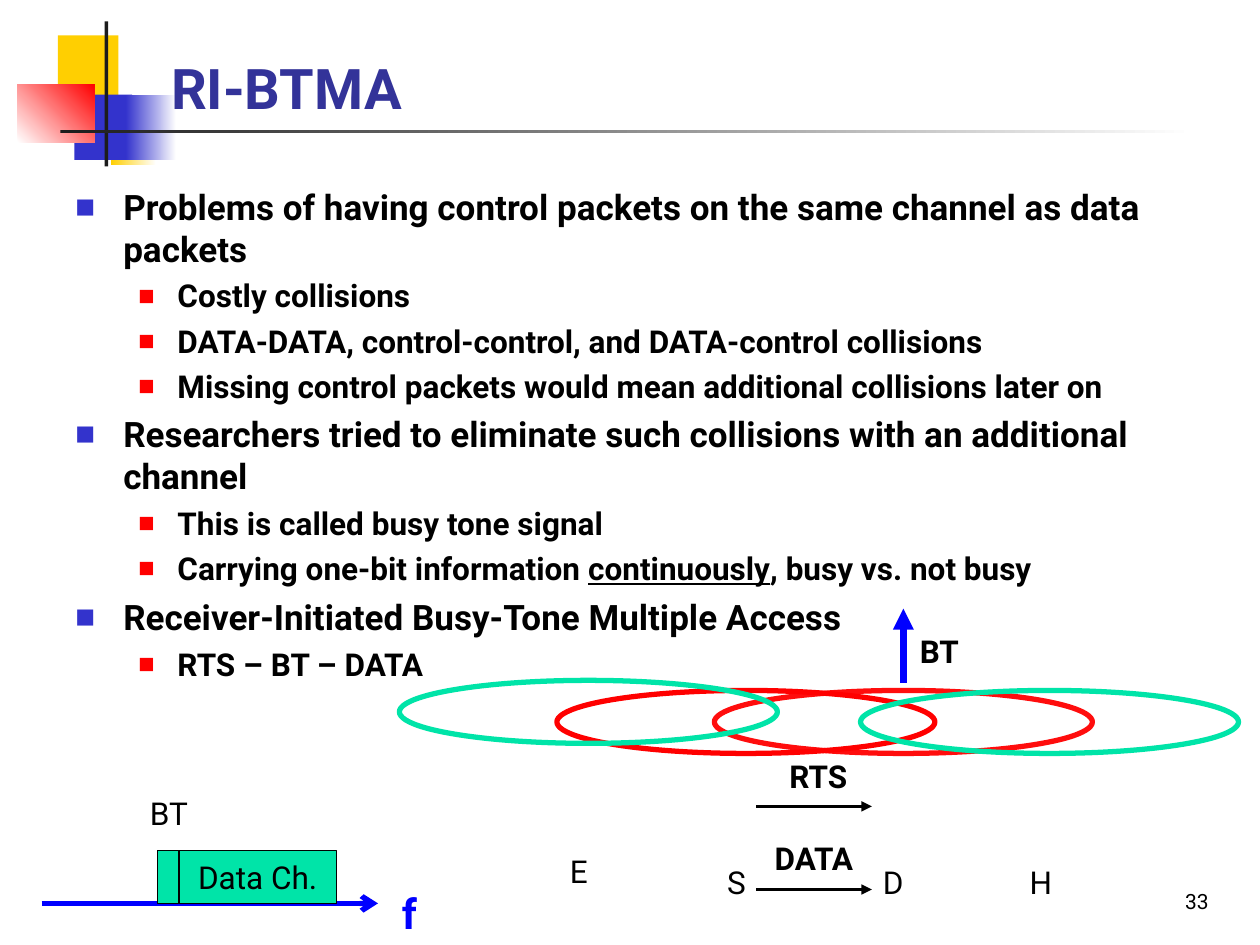
import pptx
import pptx.util
import pptx.dml.color
import pptx.enum.shapes
import pptx.enum.text
import pptx.oxml
import pptx.oxml.ns
import lxml.etree

Inches, Pt = pptx.util.Inches, pptx.util.Pt
SHAPE = pptx.enum.shapes.MSO_SHAPE
ALIGN = pptx.enum.text.PP_ALIGN
ANCHOR = pptx.enum.text.MSO_ANCHOR
qn = pptx.oxml.ns.qn
BLACK, BLUE, GREEN, RED = "000000", "0000FF", "00E4A8", "FF0000"


def rgb(value):
    return pptx.dml.color.RGBColor.from_string(value)


def add_text(paragraph, text, size, color=BLACK, bold=False):
    run = paragraph.add_run()
    run.text = text
    run.font.name = "Roboto"
    run.font.size = Pt(size)
    run.font.bold = bold
    run.font.color.rgb = rgb(color)
    return run


prs = pptx.Presentation()
prs.slide_width, prs.slide_height = Inches(10), Inches(7.5)
slide = prs.slides.add_slide(prs.slide_layouts[6])
shapes = slide.shapes

# Corner decoration: left, top, width, height, colours, gradient angle
decoration = [
    (0.46, 0.28, 0.48, 0.52, ["FFCF01"], 0),
    (0.88, 0.79, 0.36, 0.52, ["FFCF01", "FFFFFF"], 0),
    (0.59, 0.75, 0.46, 0.52, ["3333CC"], 0),
    (1, 0.75, 0.4, 0.52, ["3333CC", "FFFFFF"], 0),
    (0.14, 0.67, 0.61, 0.46, ["FFFFFF", RED], 45),
    (0.83, 0.17, 0.03, 1.15, ["1C1C1C"], 0),
    (0.48, 1.03, 9, 0.03, ["1C1C1C", "FFFFFF"], 0),
]
for left, top, width, height, colors, angle in decoration:
    block = shapes.add_shape(SHAPE.RECTANGLE, Inches(left), Inches(top), Inches(width), Inches(height))
    block.shadow.inherit = False
    block.line.fill.background()
    if len(colors) == 1:
        block.fill.solid()
        block.fill.fore_color.rgb = rgb(colors[0])
    else:
        block.fill.gradient()
        block.fill.gradient_angle = angle
        for stop, color, position in zip(block.fill.gradient_stops, colors, (0, 1)):
            stop.color.rgb = rgb(color)
            stop.position = position

# Bulleted body: level and runs, where the second run is underlined
points = [
    (0, ["Problems of having control packets on the same channel as data packets"]),
    (1, ["Costly collisions"]),
    (1, ["DATA-DATA, control-control, and DATA-control collisions"]),
    (1, ["Missing control packets would mean additional collisions later on"]),
    (0, ["Researchers tried to eliminate such collisions with an additional channel"]),
    (1, ["This is called busy tone signal"]),
    (1, ["Carrying one-bit information ", "continuously", ", busy vs. not busy"]),
    (0, ["Receiver-Initiated Busy-Tone Multiple Access"]),
    (1, ["RTS – BT – DATA"]),
]
# Per level: text size, space before, margin, indent, bullet colour, bullet percent
levels = [(20, 4.7, 0.38, -0.38, "3333CC", 60), (18, 4.2, 0.81, -0.31, RED, 55)]
body = shapes.add_textbox(Inches(0.5), Inches(1.42), Inches(9.08), Inches(5.67)).text_frame
body.word_wrap = True
for index, (level, texts) in enumerate(points):
    size, space, margin, indent, bullet_color, percent = levels[level]
    point = body.paragraphs[0] if index == 0 else body.add_paragraph()
    point.level = level
    if index:
        point.space_before = Pt(space)
    props = point._p.get_or_add_pPr()
    props.set("marL", str(Inches(margin)))
    props.set("indent", str(Inches(indent)))
    color_node = lxml.etree.SubElement(props, qn("a:buClr"))
    lxml.etree.SubElement(color_node, qn("a:srgbClr"), val=bullet_color)
    lxml.etree.SubElement(props, qn("a:buSzPct"), val=str(percent * 1000))
    lxml.etree.SubElement(props, qn("a:buFont"), typeface="Roboto")
    lxml.etree.SubElement(props, qn("a:buChar"), char="■")
    for position, text in enumerate(texts):
        run = add_text(point, text, size, bold=True)
        if position == 1:
            run.font.underline = True

# Title and slide number
title = shapes.add_textbox(Inches(1.26), Inches(0.18), Inches(8.52), Inches(0.83)).text_frame
title.word_wrap = True
title.vertical_anchor = ANCHOR.BOTTOM
add_text(title.paragraphs[0], "RI-BTMA", 32, "333399", True)

number = shapes.add_textbox(Inches(9), Inches(7), Inches(1), Inches(0.5)).text_frame
number.word_wrap = True
number.paragraphs[0].alignment = ALIGN.CENTER
add_text(number.paragraphs[0], "33", 12)

# Radio ranges of D, S, H and E
for left, top, color in [(5.67, 5.48, "FF0D0D"), (4.42, 5.48, RED), (6.83, 5.48, GREEN), (3.17, 5.4, GREEN)]:
    radio_range = shapes.add_shape(SHAPE.OVAL, Inches(left), Inches(top), Inches(3), Inches(0.5))
    radio_range.shadow.inherit = False
    radio_range.fill.background()
    radio_range.line.color.rgb = rgb(color)
    radio_range.line.width = Pt(3)

# Arrows: RTS, DATA, busy tone, frequency axis
arrows = [
    (6, 6.4, 6.92, 6.4, BLACK, 1.5, "triangle"),
    (6, 7.06, 6.92, 7.06, BLACK, 1.5, "triangle"),
    (7.17, 5.42, 7.17, 4.83, BLUE, 4, "triangle"),
    (0.33, 7.17, 3, 7.17, BLUE, 3, "arrow"),
]
for x1, y1, x2, y2, color, width, head in arrows:
    arrow = shapes.add_connector(
        pptx.enum.shapes.MSO_CONNECTOR.STRAIGHT, Inches(x1), Inches(y1), Inches(x2), Inches(y2))
    arrow.line.color.rgb = rgb(color)
    arrow.line.width = Pt(width)
    lxml.etree.SubElement(arrow.line._get_or_add_ln(), qn("a:tailEnd"), type=head)
    lxml.etree.SubElement(arrow._element.spPr, qn("a:effectLst"))

# Channel blocks on the frequency axis: data channel and busy tone
for left, width, text in [(1.42, 1.25, "Data Ch."), (1.25, 0.17, "")]:
    channel = shapes.add_shape(SHAPE.RECTANGLE, Inches(left), Inches(6.75), Inches(width), Inches(0.42))
    channel.shadow.inherit = False
    channel.fill.solid()
    channel.fill.fore_color.rgb = rgb(GREEN)
    channel.line.color.rgb = rgb(BLACK)
    channel.line.width = Pt(0.75)
    if text:
        channel.text_frame.word_wrap = False
        channel.text_frame.paragraphs[0].alignment = ALIGN.CENTER
        add_text(channel.text_frame.paragraphs[0], text, 18)

# Labels: text, left, top, width, height, size, colour, bold
labels = [
    ("E", 4.41, 6.71, 0.37, 0.4, 18, BLACK, False),
    ("S", 5.66, 6.8, 0.37, 0.4, 18, BLACK, False),
    ("D", 6.9, 6.8, 0.38, 0.4, 18, BLACK, False),
    ("H", 8.07, 6.8, 0.38, 0.4, 18, BLACK, False),
    ("RTS", 6.14, 5.96, 0.71, 0.4, 18, BLACK, True),
    ("DATA", 6.03, 6.61, 0.86, 0.4, 18, BLACK, True),
    ("BT", 7.18, 4.97, 0.55, 0.4, 18, BLACK, True),
    ("f", 3.09, 6.99, 0.31, 0.51, 24, BLUE, True),
    ("BT", 1.08, 6.25, 0.52, 0.4, 18, BLACK, False),
]
for text, left, top, width, height, size, color, bold in labels:
    label = shapes.add_textbox(Inches(left), Inches(top), Inches(width), Inches(height)).text_frame
    label.word_wrap = False
    label.auto_size = pptx.enum.text.MSO_AUTO_SIZE.SHAPE_TO_FIT_TEXT
    label.vertical_anchor = ANCHOR.MIDDLE
    label.paragraphs[0].alignment = ALIGN.CENTER
    add_text(label.paragraphs[0], text, size, color, bold)

prs.save("out.pptx")
